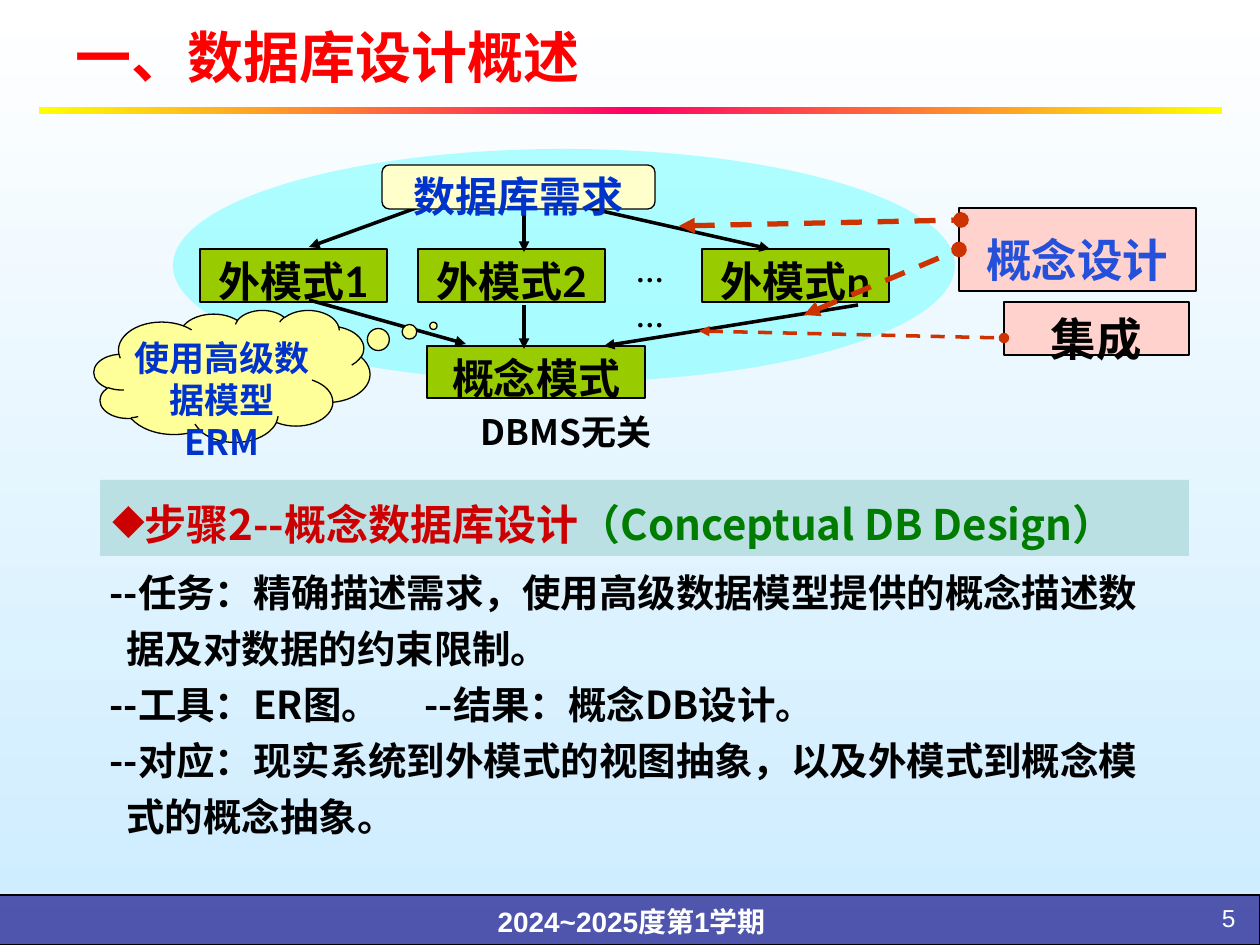
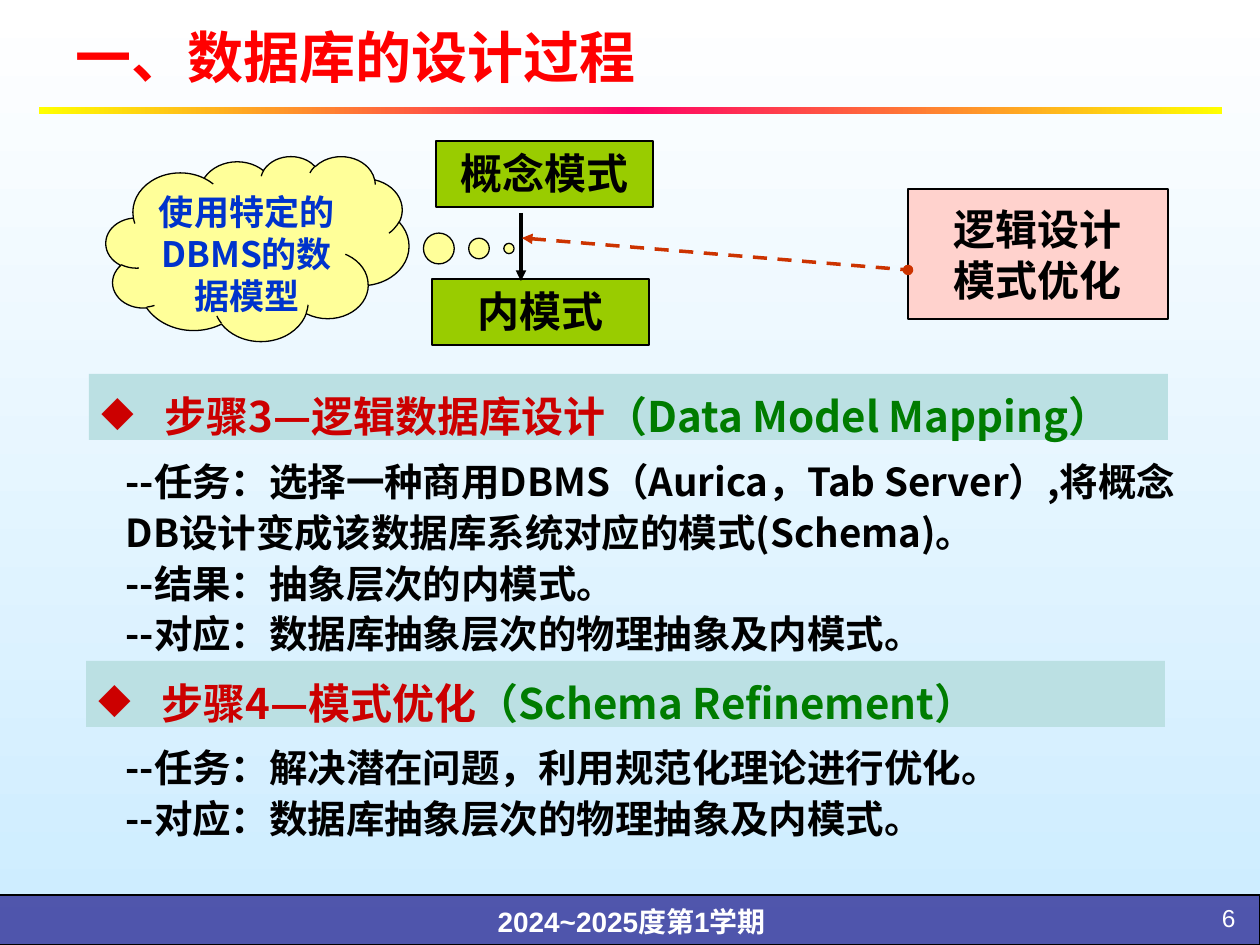
"""Build two slides on the steps of database design."""
from copy import deepcopy

from lxml import etree
from pptx import Presentation
from pptx import util as u
from pptx.dml.color import RGBColor
from pptx.enum import dml, shapes, text
from pptx.oxml.ns import qn

PX = 914400 / 126
BLACK = RGBColor(0, 0, 0)
WHITE = RGBColor(255, 255, 255)
SKY = RGBColor(0xCC, 0xEC, 0xFF)
RED = RGBColor(255, 0, 0)
DARK_RED = RGBColor(0xCC, 0, 0)
GREEN = RGBColor(0, 0x7C, 0)
BLUE = RGBColor(0, 0x33, 0xCC)
DESIGN_BLUE = RGBColor(0x25, 0x50, 0xD9)
NAVY = RGBColor(0x33, 0x33, 0x99)
YELLOW = RGBColor(255, 255, 0)
MAGENTA = RGBColor(0xFF, 0, 0x66)
CYAN = RGBColor(0x66, 0xFF, 0xFF)
LIME = RGBColor(0x99, 0xCC, 0)
CREAM = RGBColor(0xFF, 0xFF, 0xCC)
CLOUD = RGBColor(0xFF, 0xFF, 0x99)
PINK = RGBColor(0xFF, 0xD2, 0xCD)
TEAL = RGBColor(0xBB, 0xE0, 0xE3)
RUST = RGBColor(0xCC, 0x33, 0)
CJK, LATO, ARIAL, TIMES = "Noto Sans CJK SC", "Lato", "Arial", "Times New Roman"
KIND = shapes.MSO_SHAPE
CENTER, LEFT, RIGHT = text.PP_ALIGN.CENTER, text.PP_ALIGN.LEFT, text.PP_ALIGN.RIGHT
TOP, MIDDLE = text.MSO_ANCHOR.TOP, text.MSO_ANCHOR.MIDDLE


def px(*lengths):
    return [u.Emu(round(length * PX)) for length in lengths]


def set_gradient(fill, holder, angle, colours):
    fill.gradient()
    fill.gradient_angle = angle
    stop_list = holder.xpath(".//a:gsLst")[0]
    while len(stop_list) < len(colours):
        stop_list.append(deepcopy(stop_list[0]))
    for number, (stop, colour) in enumerate(zip(fill.gradient_stops, colours)):
        stop.color.rgb = colour
        stop.position = number / (len(colours) - 1)


class Lecture:
    def __init__(self):
        self.deck = Presentation()
        self.deck.slide_width, self.deck.slide_height = px(1260, 945)
        self.page = None
        master = self.deck.slide_master
        set_gradient(master.background.fill, master.element, 270, [WHITE, SKY])

    def start(self, layout, title, number):
        self.page = self.deck.slides.add_slide(self.deck.slide_layouts[layout])
        self.shape(KIND.RECTANGLE, (-1, 895, 1261, 50), NAVY, opacity=81)
        self.label((339, 892, 585, 53), "2024~2025度第1学期", 16, WHITE, ARIAL, spacing=1.2)
        rule = self.shape(KIND.RECTANGLE, (39, 107, 1183, 7), None, outline=False)
        set_gradient(rule.fill, rule.element, 0, [YELLOW, MAGENTA, YELLOW])
        self.label((1126, 897, 122, 38), number, 14, WHITE, ARIAL, bold=False, align=RIGHT)
        self.place(self.page.shapes.title, (63, 8, 1134, 96))
        self.set_words(self.page.shapes.title, title, 32, RED, ARIAL, align=LEFT, anchor=MIDDLE)

    def place(self, box, area):
        box.left, box.top, box.width, box.height = px(*area)

    def set_words(self, box, words, size, colour=BLACK, font=CJK, bold=True, align=CENTER,
                  anchor=TOP, spacing=1.0, margin=0, first=0, gap=0, bullet=None, tab=None):
        frame = box.text_frame
        frame.text = words
        frame.word_wrap = True
        frame.auto_size = text.MSO_AUTO_SIZE.NONE
        frame.vertical_anchor = anchor
        for index, para in enumerate(frame.paragraphs):
            para.alignment = align
            para.line_spacing = spacing
            para.space_before = u.Pt(gap if index else 0)
            props = para._p.get_or_add_pPr()
            left, indent = px(margin, first)
            props.set("marL", str(left))
            props.set("indent", str(indent))
            if bullet:
                etree.SubElement(props, qn("a:buChar"), char=bullet)
            else:
                etree.SubElement(props, qn("a:buNone"))
            if tab:
                tabs = etree.SubElement(props, qn("a:tabLst"))
                etree.SubElement(tabs, qn("a:tab"), pos=str(px(tab)[0]), algn="l")
            para.font.size = u.Pt(size)
            para.font.bold = bold
            para.font.color.rgb = colour
            para.font.name = font
            etree.SubElement(props.find(qn("a:defRPr")), qn("a:ea"), typeface=CJK)
        return frame

    def shape(self, kind, area, colour, outline=True, opacity=None):
        box = self.page.shapes.add_shape(kind, *px(*area))
        box.shadow.inherit = False
        if colour is not None:
            box.fill.solid()
            box.fill.fore_color.rgb = colour
        if opacity:
            tint = box.element.spPr.find(qn("a:solidFill"))[0]
            etree.SubElement(tint, qn("a:alpha"), val=str(opacity * 1000))
        if outline:
            box.line.color.rgb = BLACK
            box.line.width = u.Pt(0.75)
        else:
            box.line.fill.background()
        return box

    def label(self, area, words, size, colour=BLACK, font=CJK, **style):
        box = self.page.shapes.add_textbox(*px(*area))
        return self.set_words(box, words, size, colour, font, **style)

    def schema(self, area, words):
        self.set_words(self.shape(KIND.RECTANGLE, area, LIME), words, 24, font=LATO)

    def phase(self, area, words, size, colour=BLACK, spacing=1.0):
        box = self.shape(KIND.RECTANGLE, area, PINK)
        self.set_words(box, words, size, colour, LATO, anchor=MIDDLE, spacing=spacing)
        return box

    def cloud(self, area, words, pointer):
        box = self.shape(KIND.CLOUD_CALLOUT, area, CLOUD)
        for index, value in enumerate(pointer):
            box.adjustments[index] = value
        frame = self.set_words(box, words, 20, BLUE)
        frame.margin_left = frame.margin_right = 0

    def line(self, ends, colour, width):
        link = self.page.shapes.add_connector(shapes.MSO_CONNECTOR.STRAIGHT, *px(*ends))
        link.line.color.rgb = colour
        link.line.width = u.Pt(width)
        etree.SubElement(link.element.spPr, qn("a:effectLst"))
        return link

    def arrow(self, ends):
        link = self.line(ends, BLACK, 2)
        outline = link.element.spPr.find(qn("a:ln"))
        etree.SubElement(outline, qn("a:tailEnd"), type="triangle")

    def pointer(self, ends, width=2, source=None):
        link = self.line(ends, RUST, width)
        link.line.dash_style = dml.MSO_LINE.DASH
        outline = link.element.spPr.find(qn("a:ln"))
        etree.SubElement(outline, qn("a:headEnd"), type="triangle")
        etree.SubElement(outline, qn("a:tailEnd"), type="oval")
        if source is not None:
            link.end_connect(source, 1)

    def step(self, area, words, english, **style):
        box = self.shape(KIND.RECTANGLE, area, TEAL, outline=False)
        frame = self.set_words(box, words, 24, DARK_RED, align=LEFT, bullet="◆", **style)
        span = frame.paragraphs[0].add_run()
        span.text = english
        span.font.color.rgb = GREEN

    def points(self, index, area, lines, **style):
        body = self.page.placeholders[index]
        self.place(body, area)
        return self.set_words(body, "\n".join(lines), 22, align=LEFT, spacing=1.1, **style)


def conceptual_design(lecture):
    lecture.start(1, "一、数据库设计概述", "5")
    lecture.shape(KIND.OVAL, (173, 149, 782, 233), CYAN, outline=False, opacity=50)
    lecture.label((460, 404, 212, 54), "DBMS无关", 20, anchor=MIDDLE)
    dots = lecture.label((636, 243, 53, 34), "……", 16, font=TIMES, align=LEFT, spacing=1.35)
    dots.margin_left = dots.margin_right = dots.margin_top = dots.margin_bottom = 0
    lecture.schema((427, 346, 218, 52), "概念模式")
    for left, name in ((200, "1"), (418, "2"), (702, "n")):
        lecture.schema((left, 249, 187, 53), "外模式" + name)
    for ends in ((416, 208, 309, 247), (524, 204, 524, 252), (575, 205, 770, 249),
                 (309, 300, 466, 344), (524, 305, 524, 349), (858, 305, 604, 346)):
        lecture.arrow(ends)
    need = lecture.shape(KIND.ROUNDED_RECTANGLE, (382, 165, 273, 44), CREAM)
    lecture.set_words(need, "数据库需求", 24, BLUE, anchor=MIDDLE, spacing=1.35)
    lecture.cloud((94, 310, 276, 132), "使用高级数据模型ERM", (0.73, -0.38))
    design = lecture.phase((959, 208, 237, 83), "概念设计", 26, DESIGN_BLUE, 1.35)
    lecture.phase((1004, 302, 185, 53), "集成", 26, spacing=1.35)
    lecture.pointer((679, 226, 961, 220), 3)
    lecture.pointer((804, 315, 960, 253), 3, design)
    lecture.pointer((699, 331, 1004, 338))
    lecture.step((100, 480, 1089, 76), "步骤2--概念数据库设计",
                 "（Conceptual DB Design）", spacing=1.25)
    tasks = lecture.points(1, (97, 558, 1100, 290), [
        "--任务：精确描述需求，使用高级数据模型提供的概念描述数",
        "据及对数据的约束限制。",
        "--工具：ER图。\t--结果：概念DB设计。",
        "--对应：现实系统到外模式的视图抽象，以及外模式到概念模",
        "式的概念抽象。",
    ], gap=3, tab=368)
    for para in tasks.paragraphs:
        if not para.text.startswith("--"):
            para._p.pPr.set("marL", str(px(17)[0]))


def logical_design(lecture):
    lecture.start(3, "一、数据库的设计过程", "6")
    lecture.schema((436, 141, 217, 66), "概念模式")
    lecture.schema((432, 279, 217, 66), "内模式")
    lecture.phase((908, 189, 260, 130), "逻辑设计\n模式优化", 24)
    lecture.arrow((521, 213, 521, 281))
    lecture.pointer((522, 238, 908, 270))
    lecture.cloud((106, 156, 303, 185), "使用特定的DBMS的数据模型", (0.83, 0))
    hanging = dict(spacing=1.2, margin=63, first=-63)
    lecture.step((89, 374, 1079, 66), "步骤3—逻辑数据库设计", "（Data Model Mapping）", **hanging)
    lecture.points(1, (50, 447, 1161, 212), [
        "--任务：选择一种商用DBMS（Aurica，Tab Server）,将概念DB设计变成该数据库系统对应的模式(Schema)。",
        "--结果：抽象层次的内模式。",
        "--对应：数据库抽象层次的物理抽象及内模式。",
    ], margin=63)
    lecture.step((86, 661, 1079, 66), "步骤4—模式优化", "（Schema Refinement）", **hanging)
    lecture.points(2, (50, 733, 1145, 115), [
        "--任务：解决潜在问题，利用规范化理论进行优化。",
        "--对应：数据库抽象层次的物理抽象及内模式。",
    ], margin=63)


def main():
    lecture = Lecture()
    conceptual_design(lecture)
    logical_design(lecture)
    lecture.deck.save("out.pptx")


if __name__ == "__main__":
    main()
